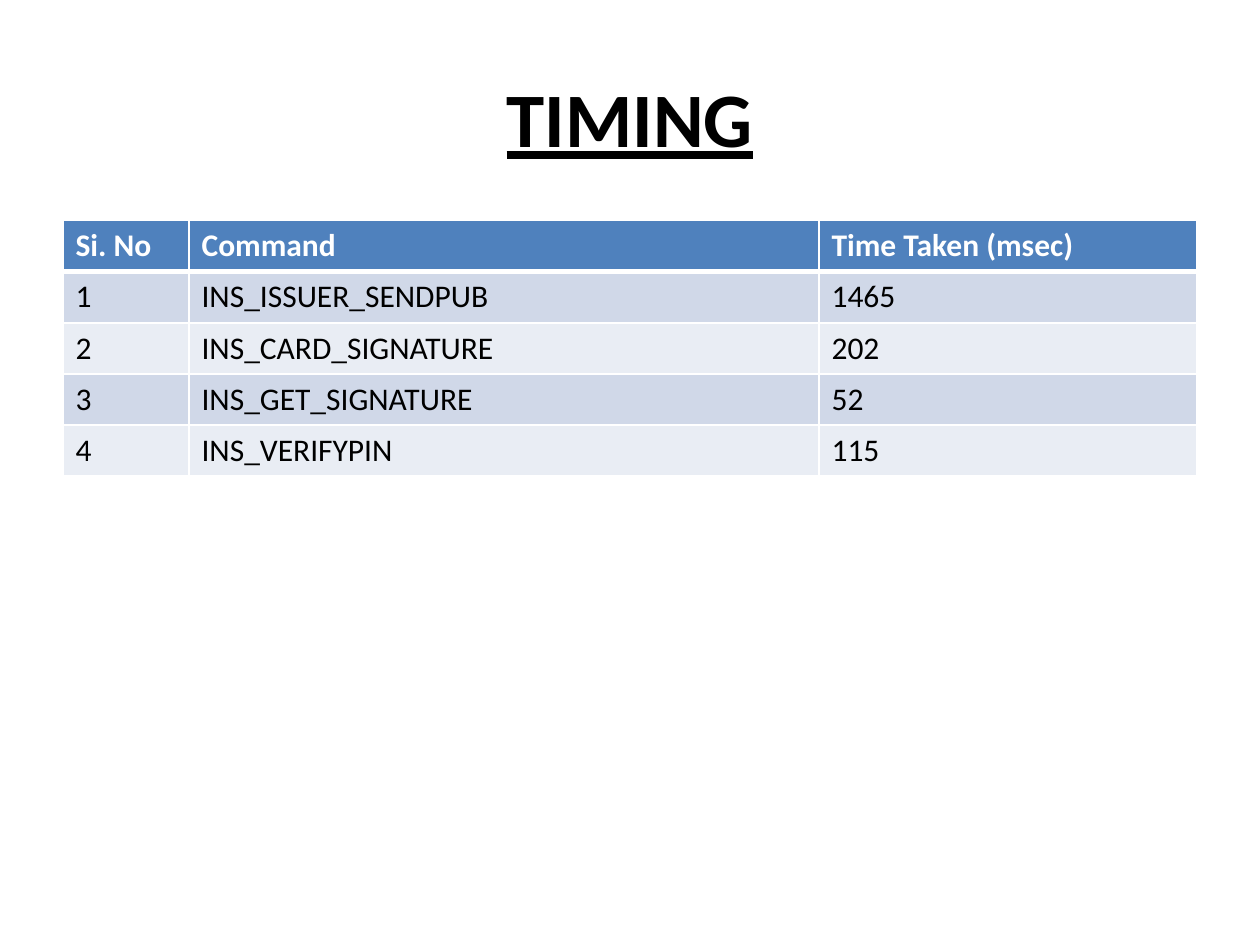
from lxml import etree
from pptx import Presentation
from pptx.dml.color import RGBColor
from pptx.enum.text import MSO_ANCHOR, PP_ALIGN
from pptx.oxml.ns import qn
from pptx.util import Inches, Pt

COLORS = {"text": "000000", "white": "FFFFFF", "header": "4F81BD",
          "odd": "D0D8E8", "even": "E9EDF4"}
TIMINGS = [
    ("Si. No", "Command ", "Time Taken (msec)"),
    ("1", "INS_ISSUER_SENDPUB", "1465"),
    ("2", "INS_CARD_SIGNATURE", "202"),
    ("3", "INS_GET_SIGNATURE", "52"),
    ("4", "INS_VERIFYPIN", "115"),
]
COLUMN_WIDTHS = (1, 5, 3)
ROW_HEIGHT = 0.406


def write(frame, text, size=18, color="text", bold=False, underline=False,
          align=PP_ALIGN.LEFT):
    """Put one formatted line of text into a text frame."""
    paragraph = frame.paragraphs[0]
    paragraph.alignment = align
    run = paragraph.add_run()
    run.text = text
    run.font.name = "Calibri"
    run.font.size = Pt(size)
    run.font.bold = bold
    run.font.underline = underline
    run.font.color.rgb = RGBColor.from_string(COLORS[color])


def set_borders(cell, top=1, bottom=1):
    """Give a cell white borders, with widths in points."""
    properties = cell._tc.get_or_add_tcPr()
    widths = {"a:lnL": 1, "a:lnR": 1, "a:lnT": top, "a:lnB": bottom}
    for position, (side, width) in enumerate(widths.items()):
        line = etree.Element(qn(side), w=str(Pt(width)))
        fill = etree.SubElement(line, qn("a:solidFill"))
        etree.SubElement(fill, qn("a:srgbClr"), val=COLORS["white"])
        properties.insert(position, line)


presentation = Presentation()
presentation.slide_width = Inches(10)
presentation.slide_height = Inches(7.5)
slide = presentation.slides.add_slide(presentation.slide_layouts[5])

title = slide.shapes.title
title.left, title.top = Inches(0.5), Inches(0.3)
title.width, title.height = Inches(9), Inches(1.25)
title.text_frame.vertical_anchor = MSO_ANCHOR.MIDDLE
write(title.text_frame, "TIMING", size=44, bold=True, underline=True,
      align=PP_ALIGN.CENTER)

timing_table = slide.shapes.add_table(
    len(TIMINGS), len(COLUMN_WIDTHS), Inches(0.5), Inches(1.75),
    Inches(sum(COLUMN_WIDTHS)), Inches(ROW_HEIGHT * len(TIMINGS))).table
for column, width in zip(timing_table.columns, COLUMN_WIDTHS):
    column.width = Inches(width)

for row_number, values in enumerate(TIMINGS):
    timing_table.rows[row_number].height = Inches(ROW_HEIGHT)
    is_header = row_number == 0
    band = "header" if is_header else ("even", "odd")[row_number % 2]
    for column_number, value in enumerate(values):
        cell = timing_table.cell(row_number, column_number)
        cell.fill.solid()
        cell.fill.fore_color.rgb = RGBColor.from_string(COLORS[band])
        set_borders(cell, top=3 if row_number == 1 else 1,
                    bottom=3 if is_header else 1)
        write(cell.text_frame, value, bold=is_header,
              color="white" if is_header else "text")

presentation.save("out.pptx")
